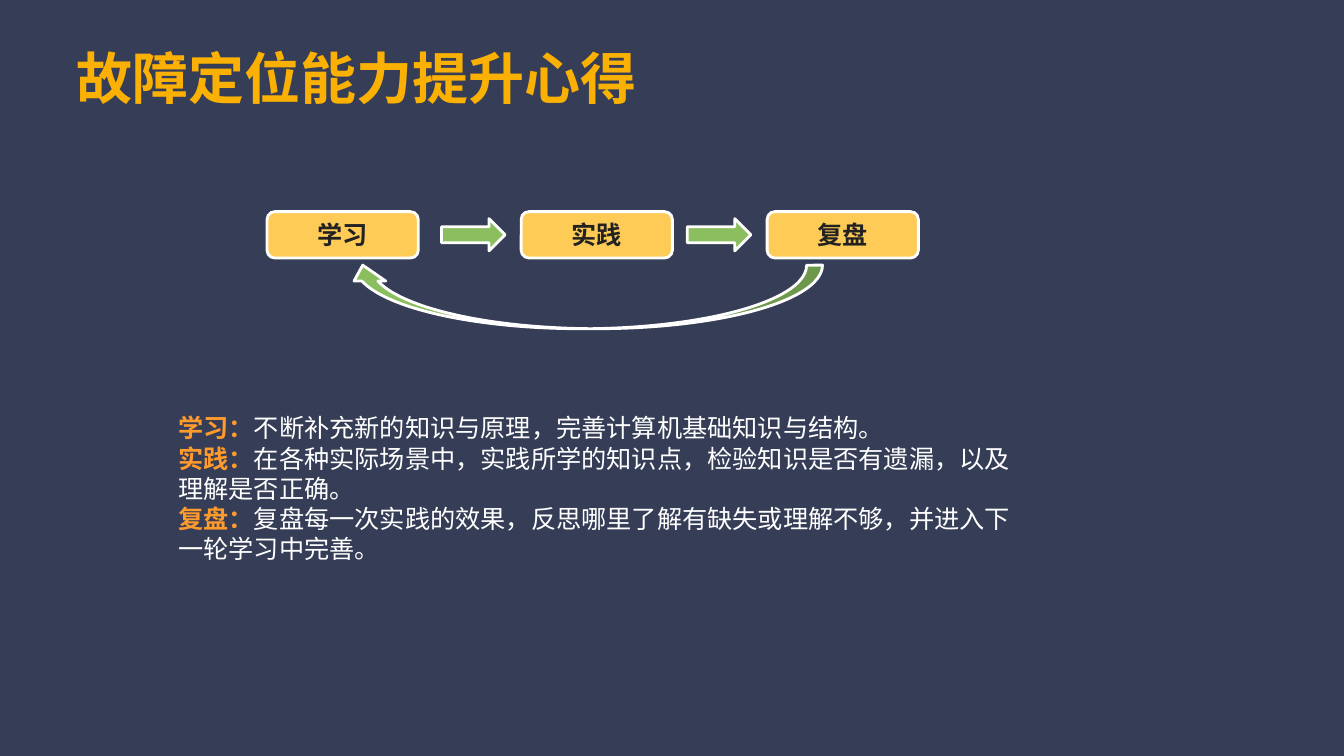
from dataclasses import dataclass

from lxml import etree
from pptx import Presentation
from pptx.dml.color import RGBColor
from pptx.enum.shapes import MSO_SHAPE
from pptx.enum.text import MSO_ANCHOR, PP_ALIGN
from pptx.oxml.ns import qn
from pptx.util import Pt

BOX = MSO_SHAPE.ROUNDED_RECTANGLE
ARROW = MSO_SHAPE.RIGHT_ARROW
CURVE = MSO_SHAPE.CURVED_DOWN_ARROW
MIDDLE = MSO_ANCHOR.MIDDLE
LEFT, CENTER = PP_ALIGN.LEFT, PP_ALIGN.CENTER

FONT = "Open Sans"
COLORS = {
    "back": "363D56",
    "title": "FBB103",
    "box": "FDCB56",
    "arrow": "8ABE5E",
    "dark": "222222",
    "term": "FF9A2D",
    "white": "FFFFFF",
}


@dataclass
class Step:
    name: str
    left: float
    note: str


@dataclass
class Area:
    left: float
    top: float
    width: float
    height: float


STEPS = [
    Step("学习", 190.8, "不断补充新的知识与原理，完善计算机基础知识与结构。"),
    Step("实践", 372.3, "在各种实际场景中，实践所学的知识点，检验知识是否有遗漏，以及理解是否正确。"),
    Step("复盘", 548, "复盘每一次实践的效果，反思哪里了解有缺失或理解不够，并进入下一轮学习中完善。"),
]
ARROWS = [315.4, 491]


def color(name: str) -> RGBColor:
    return RGBColor.from_string(COLORS[name])


def style(run, size: float, tint: str, bold: bool) -> None:
    font = run.font
    font.size, font.bold, font.name = Pt(size), bold, FONT
    font.color.rgb = color(tint)
    # East Asian glyphs use the same font
    etree.SubElement(font._element, qn("a:ea")).set("typeface", FONT)


def set_frame(frame, inset: float) -> None:
    frame.word_wrap = True
    frame.vertical_anchor = MIDDLE
    frame.margin_left = frame.margin_right = Pt(inset)
    frame.margin_top = frame.margin_bottom = Pt(inset)


def add_shape(slide, kind, area: Area, fill: str):
    shape = slide.shapes.add_shape(
        kind, Pt(area.left), Pt(area.top), Pt(area.width), Pt(area.height))
    shape.shadow.inherit = False
    shape.fill.solid()
    shape.fill.fore_color.rgb = color(fill)
    shape.line.color.rgb = color("white")
    shape.line.width = Pt(2)
    return shape


def add_title(slide, text: str) -> None:
    title = slide.shapes.title
    title.left, title.top = Pt(49), Pt(15.8)
    title.width, title.height = Pt(838), Pt(78.5)
    frame = title.text_frame
    set_frame(frame, 5.76)
    frame.text = text
    line = frame.paragraphs[0]
    line.alignment = LEFT
    style(line.runs[0], 40, "title", True)


def add_step(slide, step: Step) -> None:
    box = add_shape(slide, BOX, Area(step.left, 151.2, 108, 33.1), "box")
    frame = box.text_frame
    set_frame(frame, 4.32)
    frame.text = step.name
    line = frame.paragraphs[0]
    line.alignment = CENTER
    style(line.runs[0], 18, "dark", True)


def add_notes(slide, steps: list[Step]) -> None:
    box = slide.shapes.add_textbox(Pt(123.1), Pt(281.5), Pt(617.8), Pt(134.6))
    frame = box.text_frame
    set_frame(frame, 4.32)
    for i, step in enumerate(steps):
        line = frame.add_paragraph() if i else frame.paragraphs[0]
        for text, tint, bold in ((step.name + "：", "term", True),
                                 (step.note, "white", False)):
            run = line.add_run()
            run.text = text
            style(run, 18, tint, bold)


def main() -> None:
    deck = Presentation()
    deck.slide_width, deck.slide_height = Pt(960), Pt(540)
    slide = deck.slides.add_slide(deck.slide_layouts[5])
    slide.background.fill.solid()
    slide.background.fill.fore_color.rgb = color("back")

    add_title(slide, "故障定位能力提升心得")

    # Cycle of steps
    for step in STEPS:
        add_step(slide, step)
    for left in ARROWS:
        add_shape(slide, ARROW, Area(left, 156.2, 45.4, 23), "arrow")
    back = add_shape(slide, CURVE, Area(247.7, 189.4, 339.8, 45.4), "arrow")
    back.rotation = 180

    # Meaning of each step
    add_notes(slide, STEPS)
    deck.save("out.pptx")


if __name__ == "__main__":
    main()
